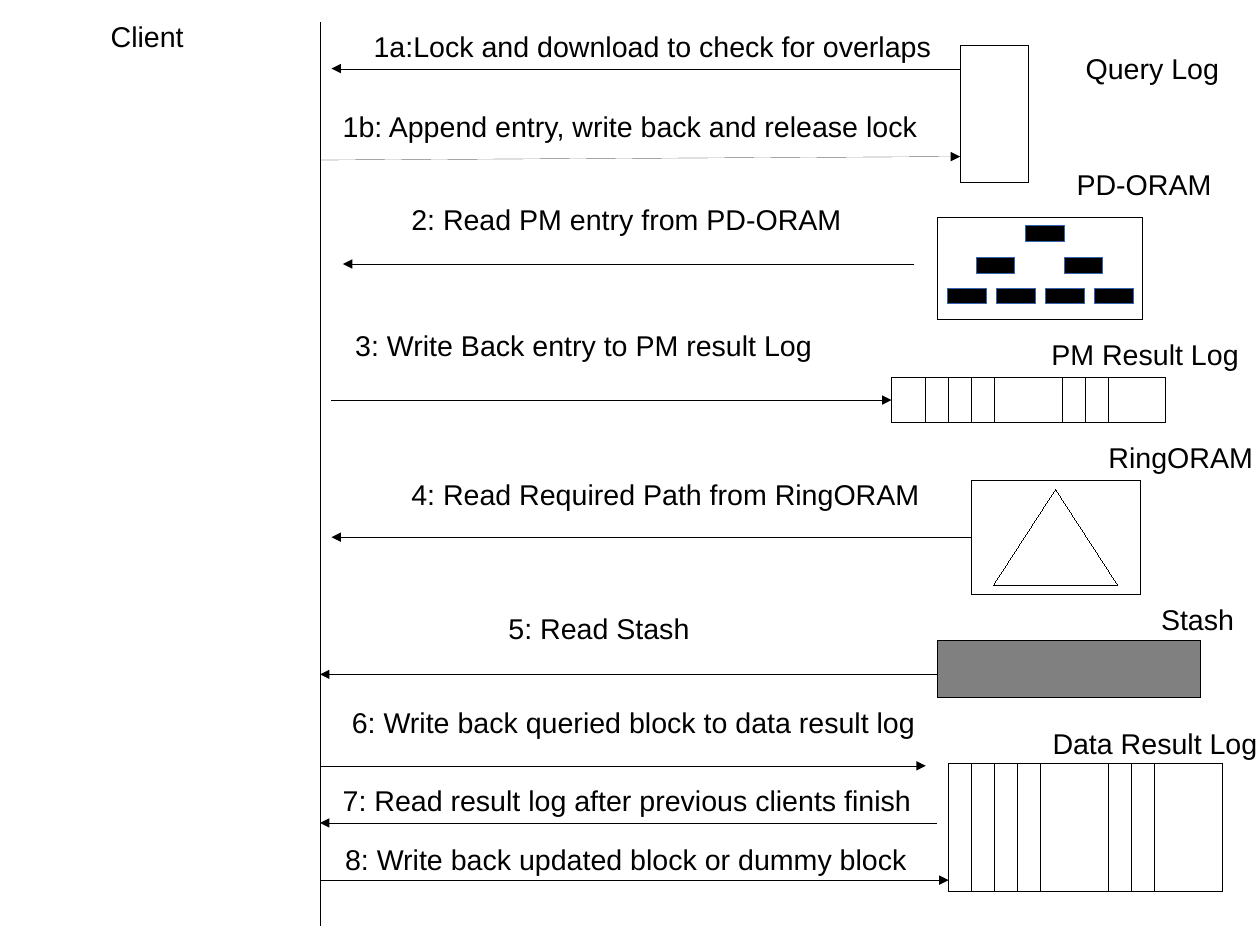
from lxml import etree
from pptx import Presentation
from pptx.dml.color import RGBColor
from pptx.enum.shapes import MSO_CONNECTOR, MSO_SHAPE
from pptx.enum.text import MSO_AUTO_SIZE
from pptx.oxml.ns import qn
from pptx.util import Cm, Inches, Pt

RECT = MSO_SHAPE.RECTANGLE
TRIANGLE = MSO_SHAPE.ISOSCELES_TRIANGLE
STRAIGHT = MSO_CONNECTOR.STRAIGHT
FIT = MSO_AUTO_SIZE.SHAPE_TO_FIT_TEXT
BLACK, WHITE, GRAY, BLUE = "000000", "FFFFFF", "808080", "3465AF"
LEFT = 1
color = RGBColor.from_string

deck = Presentation()
deck.slide_width, deck.slide_height = Cm(28), Cm(21)
slide = deck.slides.add_slide(deck.slide_layouts[6])
shapes = slide.shapes


def add_box(x, y, w, h, fill=WHITE, edge=BLACK, kind=RECT):
    box = shapes.add_shape(kind, Inches(x), Inches(y), Inches(w), Inches(h))
    box.shadow.inherit = False
    box.fill.solid()
    box.fill.fore_color.rgb = color(fill)
    box.line.color.rgb = color(edge)
    # Hairline: python-pptx drops a width of zero, so it is set in the XML
    box._element.spPr.find(qn("a:ln")).set("w", "0")
    return box


def add_line(x1, y1, x2, y2, arrow=False):
    line = shapes.add_connector(
        STRAIGHT, Inches(x1), Inches(y1), Inches(x2), Inches(y2))
    line.line.color.rgb = color(BLACK)
    edge = line._element.spPr.find(qn("a:ln"))
    edge.set("w", "0")
    if arrow:
        etree.SubElement(edge, qn("a:tailEnd"), type="triangle")
    etree.SubElement(line._element.spPr, qn("a:effectLst"))
    return line


# Server stores
add_box(8.4, 0.4, 0.6, 1.2)
add_box(8.2, 1.9, 1.8, 0.9)
pm_log = add_box(7.8, 3.3, 2.4, 0.4)
ring = add_box(8.5, 4.2, 1.48, 1)
add_box(8.69, 4.28, 1.09, 0.84, kind=TRIANGLE)
add_box(8.2, 5.6, 2.3, 0.5, fill=GRAY)
add_box(8.3, 6.68, 2.4, 1.12)

# Tree nodes: top, left, gap and count for each level
for top, left, gap, count in [
    (1.97, 8.97, 0, 1),
    (2.25, 8.54, 0.77, 2),
    (2.52, 8.29, 0.43, 4),
]:
    for i in range(count):
        add_box(left + i * gap, top, 0.34, 0.14, fill=BLACK, edge=BLUE)

# Cell borders of the two logs
for left, top, base in [(8.1, 3.3, 3.7), (8.5, 6.68, 7.8)]:
    for step in (0, 0.2, 0.4, 0.6, 1.2, 1.4, 1.6):
        add_line(left + step, top, left + step, base)

# Client border and messages
add_line(2.8, 0.2, 2.8, 8.1)
for ends in [
    (8.4, 0.6, 2.9, 0.6),
    (2.8, 1.4, 8.4, 1.37),
    (8, 2.31, 3, 2.31),
    (8.2, 5.9, 2.8, 5.9),
    (2.8, 6.7, 8.1, 6.7),
    (8.2, 7.2, 2.8, 7.2),
    (2.8, 7.7, 8.3, 7.7),
]:
    add_line(*ends, arrow=True)
add_line(2.9, 3.5, 7.8, 3.5, arrow=True).end_connect(pm_log, LEFT)
add_line(8.5, 4.7, 2.9, 4.7, arrow=True).begin_connect(ring, LEFT)

for text, x, y, w in [
    ("Client", 0.87, 0.12, 0.84),
    ("Query Log", 9.4, 0.4, 1.4),
    ("PD-ORAM", 9.32, 1.41, 1.38),
    ("PM Result Log", 9.1, 2.9, 1.84),
    ("RingORAM", 9.6, 3.8, 1.5),
    ("Stash", 10.06, 5.22, 0.84),
    ("Data Result Log", 9.11, 6.3, 1.99),
    ("1a:Lock and download to check for overlaps", 3.17, 0.2, 5.15),
    ("1b: Append entry, write back and release lock", 2.9, 0.9, 5.29),
    ("2: Read PM entry from PD-ORAM", 3.5, 1.72, 4),
    ("3: Write Back entry to PM result Log", 3.01, 2.82, 4.23),
    ("4: Read Required Path from RingORAM", 3.5, 4.12, 4.68),
    ("5: Read Stash", 4.35, 5.3, 1.85),
    ("6: Write back queried block to data result log", 2.98, 6.12, 5.13),
    ("7: Read result log after previous clients finish", 2.9, 6.8, 5.3),
    ("8: Write back updated block or dummy block", 2.92, 7.32, 5.18),
]:
    label = shapes.add_textbox(Inches(x), Inches(y), Inches(w), Inches(0.38))
    frame = label.text_frame
    frame.word_wrap = False
    frame.auto_size = FIT
    run = frame.paragraphs[0].add_run()
    run.text = text
    run.font.name = "Arial"
    run.font.size = Pt(18)
    run.font.color.rgb = color(BLACK)

deck.save("out.pptx")
